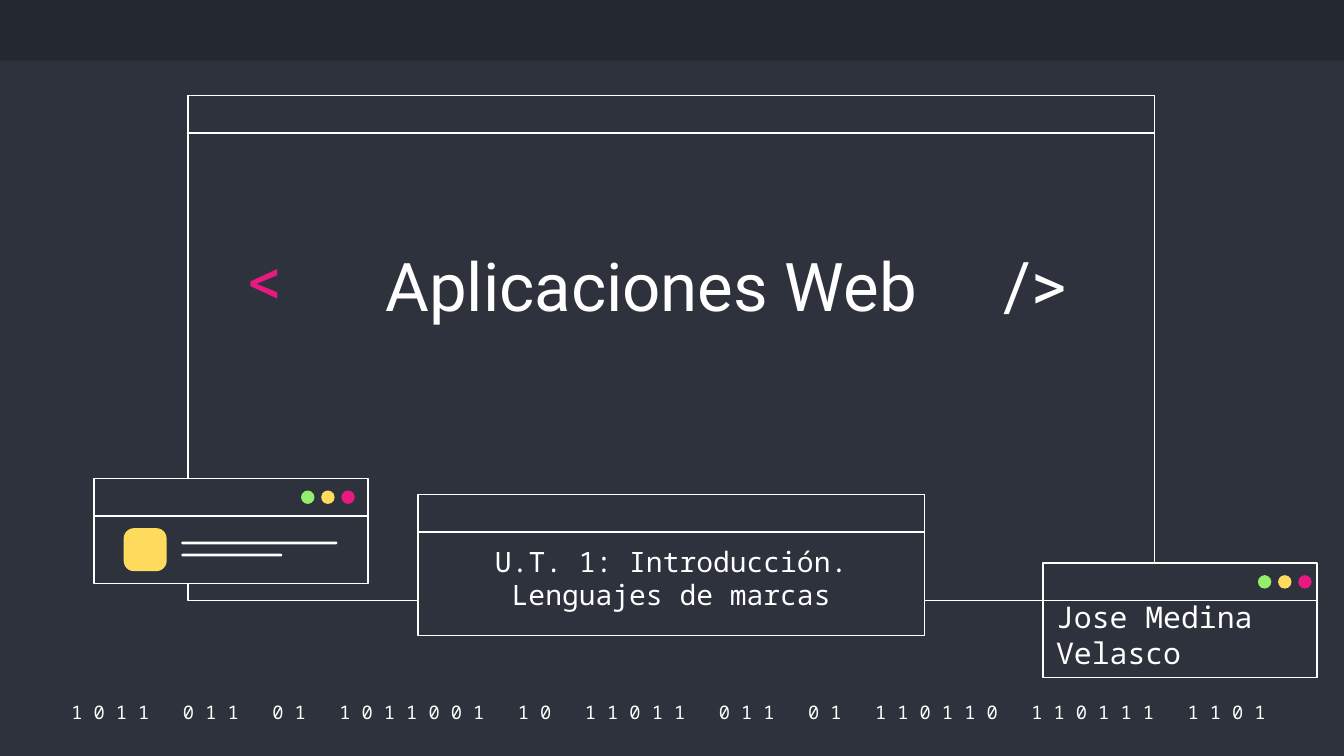
from pptx import Presentation
from pptx.dml.color import RGBColor
from pptx.enum.shapes import MSO_SHAPE as Shape
from pptx.enum.text import MSO_ANCHOR as Anchor, PP_ALIGN as Align
from pptx.util import Inches, Pt

SLIDE_W = 10
SLIDE_H = SLIDE_W * 9 / 16
BACKGROUND = RGBColor(0x2D, 0x32, 0x3C)
BAND = RGBColor(0x24, 0x28, 0x30)
WHITE = RGBColor(0xFF, 0xFF, 0xFF)
GREEN = RGBColor(0x94, 0xEE, 0x6B)
YELLOW = RGBColor(0xFF, 0xDB, 0x5D)
PINK = RGBColor(0xE8, 0x19, 0x81)
MONO, SANS = "Noto Sans Mono", "Roboto"

# Content
TITLE = "Aplicaciones Web"
SUBTITLE = "U.T. 1: Introducción. Lenguajes de marcas"
AUTHOR = "Jose Medina Velasco"
BINARY = ["1011", "011", "01", "1011001", "10", "11011",
          "011", "01", "110110", "110111", "1101"]

# Windows: left, title bar top, width, body top, body height, first button left
BAR_H = 0.28
WINDOWS = {
    "main": (1.4, 0.71, 7.19, 0.71, 3.76, None),
    "subtitle": (3.11, 3.68, 3.77, 3.68, 1.05, None),
    "author": (7.76, 4.19, 2.04, 4.41, 0.63, 9.36),
    "card": (0.7, 3.56, 2.04, 3.83, 0.51, 2.24),
}
BUTTONS = [GREEN, YELLOW, PINK]
BUTTON_SIZE, BUTTON_STEP = 0.1, 0.15
CARD_LINES = [(4.03, 1.16), (4.12, 0.75)]  # top, width

prs = Presentation()
prs.slide_width, prs.slide_height = Inches(SLIDE_W), Inches(SLIDE_H)
slide = prs.slides.add_slide(prs.slide_layouts[6])
slide.background.fill.solid()
slide.background.fill.fore_color.rgb = BACKGROUND


def add_block(kind, box, fill, line=None):
    block = slide.shapes.add_shape(kind, *map(Inches, box))
    block.shadow.inherit = False
    block.fill.solid()
    block.fill.fore_color.rgb = fill
    if line is None:
        block.line.fill.background()
    else:
        block.line.color.rgb = line
        block.line.width = Pt(0.75)
    return block


def write(holder, text, *, size, font=MONO, color=WHITE, align=Align.LEFT,
          anchor=Anchor.MIDDLE, spacing=None, right=0.1, gap=None):
    """Write text; with a gap, each bar becomes a space widened by gap points."""
    frame = holder.text_frame
    frame.word_wrap = True
    frame.vertical_anchor = anchor
    frame.margin_left = frame.margin_top = frame.margin_bottom = Inches(0.1)
    frame.margin_right = Inches(right)
    paragraph = frame.paragraphs[0]
    paragraph.alignment = align
    paragraph.line_spacing = spacing
    for index, part in enumerate(text.split("|") if gap else [text]):
        pieces = [(" ", gap), (part, None)] if index else [(part, None)]
        for piece, extra in pieces:
            run = paragraph.add_run()
            run.text = piece
            run.font.size, run.font.name = Pt(size), font
            run.font.color.rgb = color
            if extra:
                run.font._element.set("spc", str(extra * 100))


def add_text(box, text, **style):
    write(slide.shapes.add_textbox(*map(Inches, box)), text, **style)


# Top band and binary footer
add_block(Shape.RECTANGLE, (0, 0, SLIDE_W, 0.45), BAND)
add_text((0.38, 5.2, 9.27, 0.2), "|".join(" ".join(group) for group in BINARY),
         size=10, align=Align.CENTER, right=0.18, gap=12)

# Windows with their title bars and buttons
for name, (left, top, width, body_top, body_h, button_left) in WINDOWS.items():
    body = add_block(Shape.RECTANGLE, (left, body_top, width, body_h), BACKGROUND, WHITE)
    if name == "author":
        write(body, AUTHOR, size=16)
    add_block(Shape.RECTANGLE, (left, top, width, BAR_H), BACKGROUND, WHITE)
    if button_left is not None:
        for column, color in enumerate(BUTTONS):
            add_block(Shape.OVAL, (button_left + column * BUTTON_STEP, top + 0.09,
                                   BUTTON_SIZE, BUTTON_SIZE), color)

# Card: thumbnail and two lines
thumbnail = add_block(Shape.ROUNDED_RECTANGLE, (0.92, 3.93, 0.32, 0.32), YELLOW)
thumbnail.adjustments[0] = 0.24
for top, width in CARD_LINES:
    card_line = add_block(Shape.ROUNDED_RECTANGLE, (1.35, top, width, 0.02), WHITE)
    card_line.adjustments[0] = 0.5

# Title between its tag signs, and subtitle
heading = dict(size=36, font=SANS, spacing=0.9)
add_text((1.75, 1.78, 0.77, 0.66), "<", color=PINK, **heading)
add_text((7.37, 1.82, 0.77, 0.66), "/>", **heading)
add_text((2.1, 1.57, 5.49, 0.96), TITLE, align=Align.CENTER,
         anchor=Anchor.BOTTOM, **heading)
add_text((3.22, 3.95, 3.55, 0.78), SUBTITLE, size=15, align=Align.CENTER,
         anchor=Anchor.TOP)

prs.save("out.pptx")
